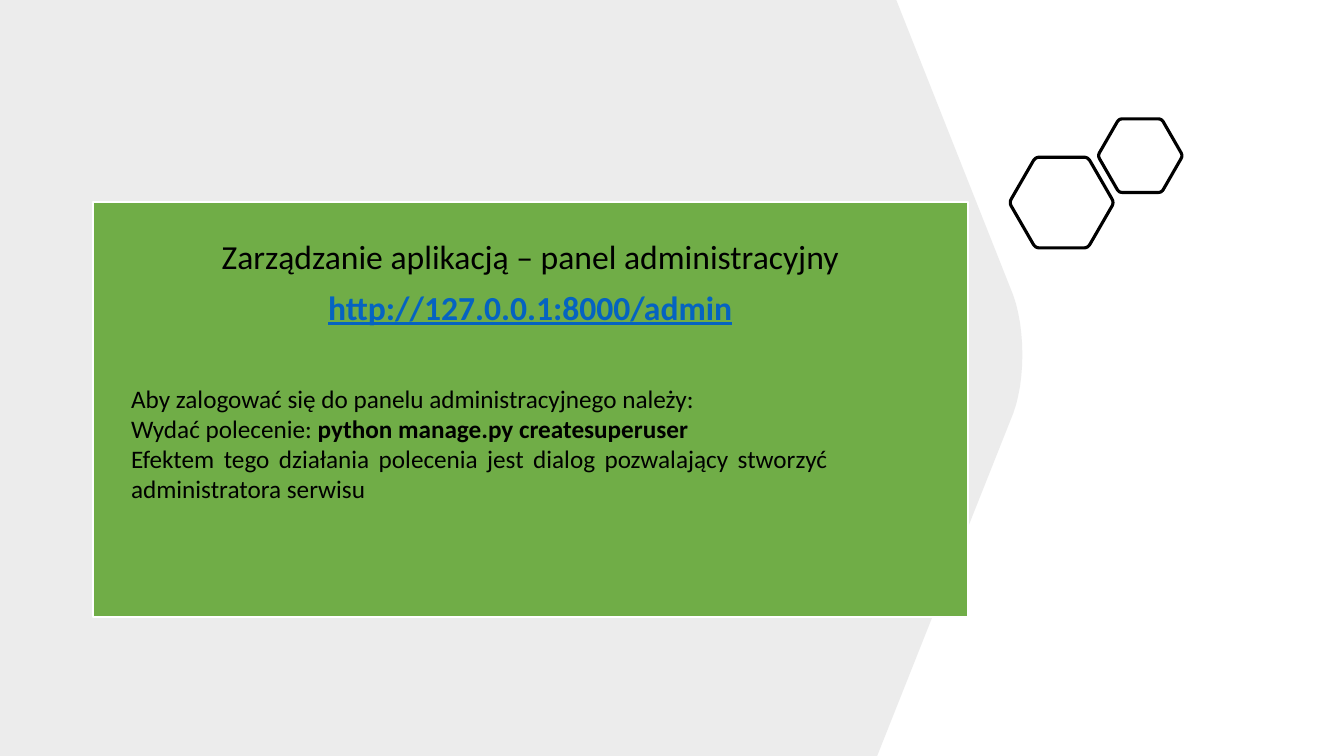
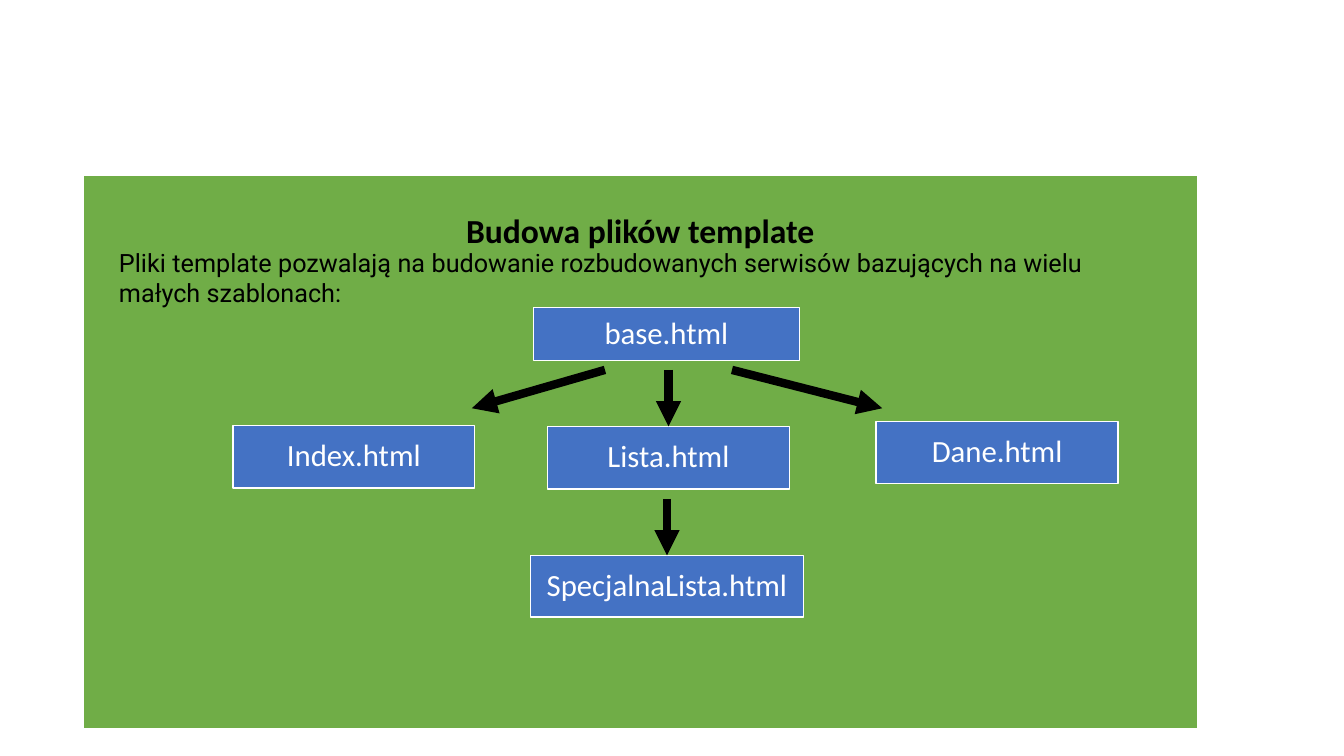
from dataclasses import dataclass
from math import cos, pi, sin, sqrt

from lxml.etree import SubElement
from pptx import Presentation
from pptx.dml.color import RGBColor
from pptx.enum.shapes import MSO_CONNECTOR, MSO_SHAPE
from pptx.enum.text import MSO_ANCHOR, MSO_AUTO_SIZE, PP_ALIGN
from pptx.oxml.ns import qn
from pptx.util import Emu, Inches, Pt

PX = 9144  # one px is a hundredth of an inch


@dataclass(frozen=True)
class Theme:
    panel: str = "70AD47"
    node: str = "4472C4"
    white: str = "FFFFFF"
    black: str = "000000"
    link: str = "0563C1"
    backdrop: str = "808080"
    font: str = "Calibri"
    body_font: str = "Roboto"
    title_size: int = 24
    node_size: int = 22
    body_size: int = 18


@dataclass(frozen=True)
class Box:
    left: int
    top: int
    width: int
    height: int

    def inner(self, left, top, width, height):
        return Box(self.left + left, self.top + top, width, height)

    def emu(self):
        return [Emu(value * PX) for value in (self.left, self.top, self.width, self.height)]


THEME = Theme()


# Shared helpers
def color(value):
    return RGBColor.from_string(value)


def paint(shape, fill=None, line=None, width=1.0):
    if fill:
        shape.fill.solid()
        shape.fill.fore_color.rgb = color(fill)
    else:
        shape.fill.background()
    if line:
        shape.line.color.rgb = color(line)
        shape.line.width = Pt(width)
    else:
        shape.line.fill.background()


def place(shape, box):
    shape.left, shape.top, shape.width, shape.height = box.emu()


def set_frame(frame, inset_x, inset_y, anchor):
    frame.word_wrap = True
    frame.auto_size = MSO_AUTO_SIZE.NONE
    frame.vertical_anchor = anchor
    frame.margin_left = frame.margin_right = Emu(inset_x * PX)
    frame.margin_top = frame.margin_bottom = Emu(inset_y * PX)


def write(frame, *texts, size=THEME.body_size, font=THEME.font, ink=THEME.black,
          bold=(), underline=False, align=PP_ALIGN.CENTER, spacing=0.9, before=0):
    """Write one paragraph; bold holds the indexes of the bold texts."""
    first = frame.paragraphs[0]
    paragraph = frame.add_paragraph() if first.runs else first
    paragraph.alignment = align
    paragraph.line_spacing = spacing
    paragraph.space_before = Pt(before)
    for index, text in enumerate(texts):
        run = paragraph.add_run()
        run.text = text
        run.font.name = font
        run.font.size = Pt(size)
        run.font.color.rgb = color(ink)
        run.font.bold = index in bold
        run.font.underline = underline
    return paragraph


def freeform(slide, points):
    """Draw a closed outline, keeping tenths of a px."""
    vertices = [(round(x * 10), round(y * 10)) for x, y in points]
    builder = slide.shapes.build_freeform(*vertices[0], scale=PX / 10)
    builder.add_line_segments(vertices[1:], close=True)
    shape = builder.convert_to_shape()
    shape.shadow.inherit = False
    return shape


def bezier(points, steps=24):
    """Sample a Bezier curve of any degree."""
    samples = []
    for step in range(steps + 1):
        share = step / steps
        level = list(points)
        while len(level) > 1:
            level = [(a + (c - a) * share, b + (d - b) * share)
                     for (a, b), (c, d) in zip(level, level[1:])]
        samples.append(level[0])
    return samples


# Parts of the slides
def add_panel(slide, box):
    title = slide.shapes.title
    place(title, box)
    paint(title, THEME.panel, THEME.white, 1.5)
    set_frame(title.text_frame, 39, 39, MSO_ANCHOR.TOP)
    return title.text_frame


def add_body(slide, box, paragraphs, font):
    body = slide.placeholders[1]
    place(body, box)
    set_frame(body.text_frame, 10, 5, MSO_ANCHOR.TOP)
    for texts in paragraphs:
        paragraph = write(body.text_frame, *texts, bold=(1,), font=font,
                          align=PP_ALIGN.JUSTIFY, spacing=1.0)
        properties = paragraph._p.get_or_add_pPr()
        properties.set("marL", "0")
        properties.set("indent", "0")
        SubElement(properties, qn("a:buNone"))


def add_backdrop(slide, box):
    bulge = bezier([(1005, 293), (1017, 327), (1017, 377), (1005, 410)])
    outline = [(0, 0), (889, 0), *bulge, (870, box.height), (0, box.height)]
    shape = freeform(slide, [(box.left + x, box.top + y) for x, y in outline])
    paint(shape, THEME.backdrop)
    fill_color = shape.element.spPr.find(qn("a:solidFill"))[0]
    SubElement(fill_color, qn("a:alpha")).set("val", "15000")
    shape.element.getparent().insert(2, shape.element)  # send to back


def add_hexagon(slide, center_x, center_y, side):
    corners = [(center_x + side * cos(turn * pi / 3), center_y + side * sin(turn * pi / 3))
               for turn in range(6)]
    rounding = 0.08
    outline = []
    for index, (x, y) in enumerate(corners):
        before, after = corners[index - 1], corners[(index + 1) % 6]
        start, end = [(x + (other[0] - x) * rounding, y + (other[1] - y) * rounding)
                      for other in (before, after)]
        outline += bezier([start, (x, y), end], steps=6)
    paint(freeform(slide, outline), line=THEME.black, width=2.25)


def add_hexagon_pair(slide, box):
    for height, center_x, center_y in ((90, 51, 83), (73, 129, 36.5)):
        add_hexagon(slide, box.left + center_x, box.top + center_y, height / sqrt(3))


def add_node(slide, box, text):
    node = slide.shapes.add_shape(MSO_SHAPE.RECTANGLE, *box.emu())
    node.shadow.inherit = False
    paint(node, THEME.node, THEME.white, 1)
    set_frame(node.text_frame, 9, 9, MSO_ANCHOR.MIDDLE)
    write(node.text_frame, text, size=THEME.node_size, ink=THEME.white)
    return node


def add_arrow(slide, start, end):
    arrow = slide.shapes.add_connector(
        MSO_CONNECTOR.STRAIGHT, *[Emu(round(value * PX)) for value in (*start, *end)])
    arrow.line.color.rgb = color(THEME.black)
    arrow.line.width = Pt(6)
    SubElement(arrow.line._get_or_add_ln(), qn("a:tailEnd")).set("type", "triangle")
    SubElement(arrow.element.spPr, qn("a:effectLst"))
    return arrow


def add_template_tree(slide, box):
    node_boxes = {
        "base.html": box.inner(447, 131, 264, 53),
        "Index.html": box.inner(149, 248, 240, 62),
        "Lista.html": box.inner(461, 249, 240, 62),
        "Dane.html": box.inner(787, 244, 240, 62),
        "SpecjalnaLista.html": box.inner(444, 377, 271, 61),
    }
    nodes = {text: add_node(slide, node_box, text) for text, node_box in node_boxes.items()}

    # Vertical arrows end at the top of the node below
    for text in ("Lista.html", "SpecjalnaLista.html"):
        target = node_boxes[text]
        middle = target.left + target.width / 2
        arrow = add_arrow(slide, (middle, target.top - 56), (middle, target.top))
        arrow.end_connect(nodes[text], 0)

    # Slanted arrows point towards the outer nodes
    for start_x, end_x in ((518, 386), (644, 793)):
        add_arrow(slide, (box.left + start_x, box.top + 193),
                  (box.left + end_x, box.top + 231))


# Slides
def build_admin_slide(slide, page):
    add_backdrop(slide, page)
    panel = page.inner(92, 200, 868, 412)
    frame = add_panel(slide, panel)
    write(frame, "Zarządzanie aplikacją – panel administracyjny",
          size=THEME.title_size, before=10)
    write(frame, "http://127.0.0.1:8000/admin", size=THEME.title_size, before=10,
          ink=THEME.link, bold=(0,), underline=True)
    add_body(slide, panel.inner(28, 175, 711, 162), [
        ["Aby zalogować się do panelu administracyjnego należy:"],
        ["Wydać polecenie: ", "python manage.py createsuperuser"],
        ["Efektem tego działania polecenia jest dialog pozwalający stworzyć "
         "administratora serwisu"],
    ], THEME.font)
    add_hexagon_pair(slide, page.inner(1002, 118, 170, 128))


def build_template_slide(slide, page):
    panel = page.inner(82, 174, 1106, 549)
    frame = add_panel(slide, panel)
    write(frame, "Budowa plików template", size=THEME.title_size, before=10, bold=(0,))
    add_body(slide, panel.inner(26, 66, 976, 101), [
        ["Pliki template pozwalają na budowanie rozbudowanych serwisów bazujących "
         "na wielu małych szablonach:"],
    ], THEME.body_font)
    add_template_tree(slide, panel)


def main():
    presentation = Presentation()
    presentation.slide_width = Inches(13.33)
    presentation.slide_height = Inches(7.5)
    page = Box(0, 0, 1333, 750)
    for build in (build_admin_slide, build_template_slide):
        build(presentation.slides.add_slide(presentation.slide_layouts[1]), page)
    presentation.save("out.pptx")


if __name__ == "__main__":
    main()
